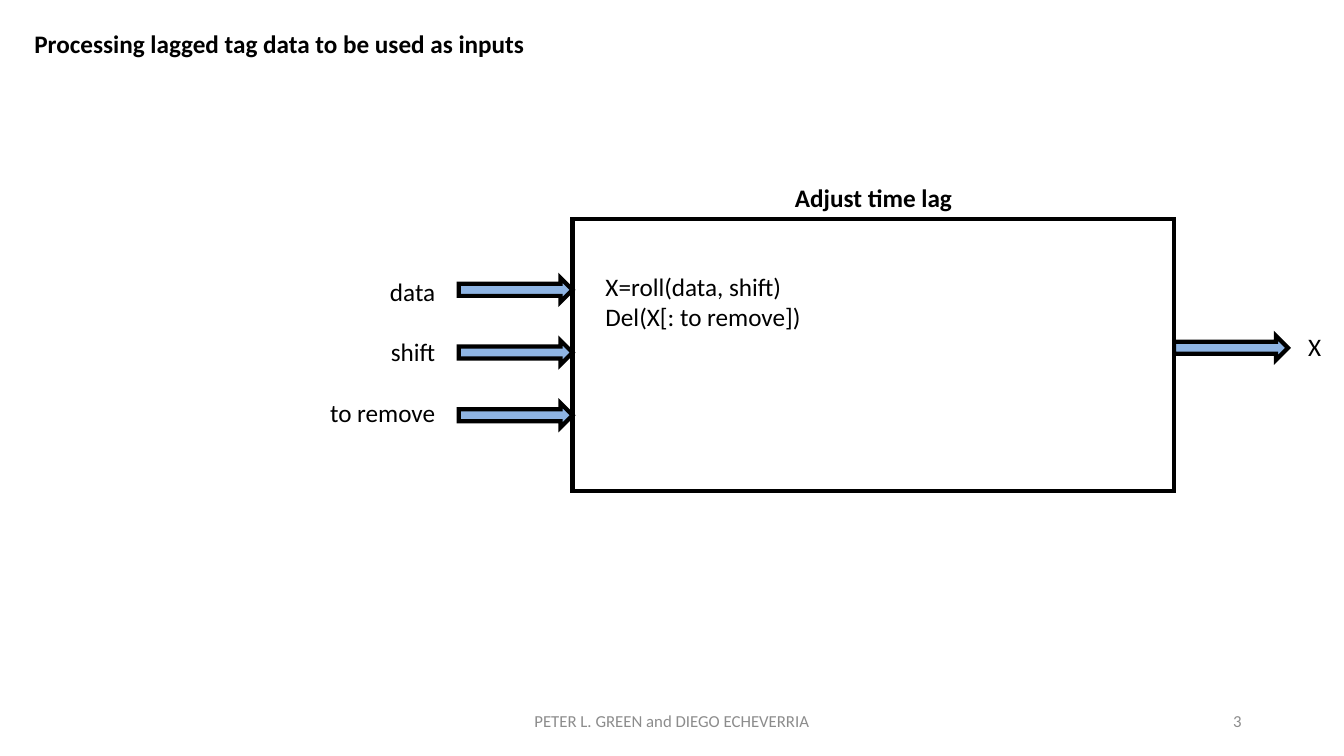
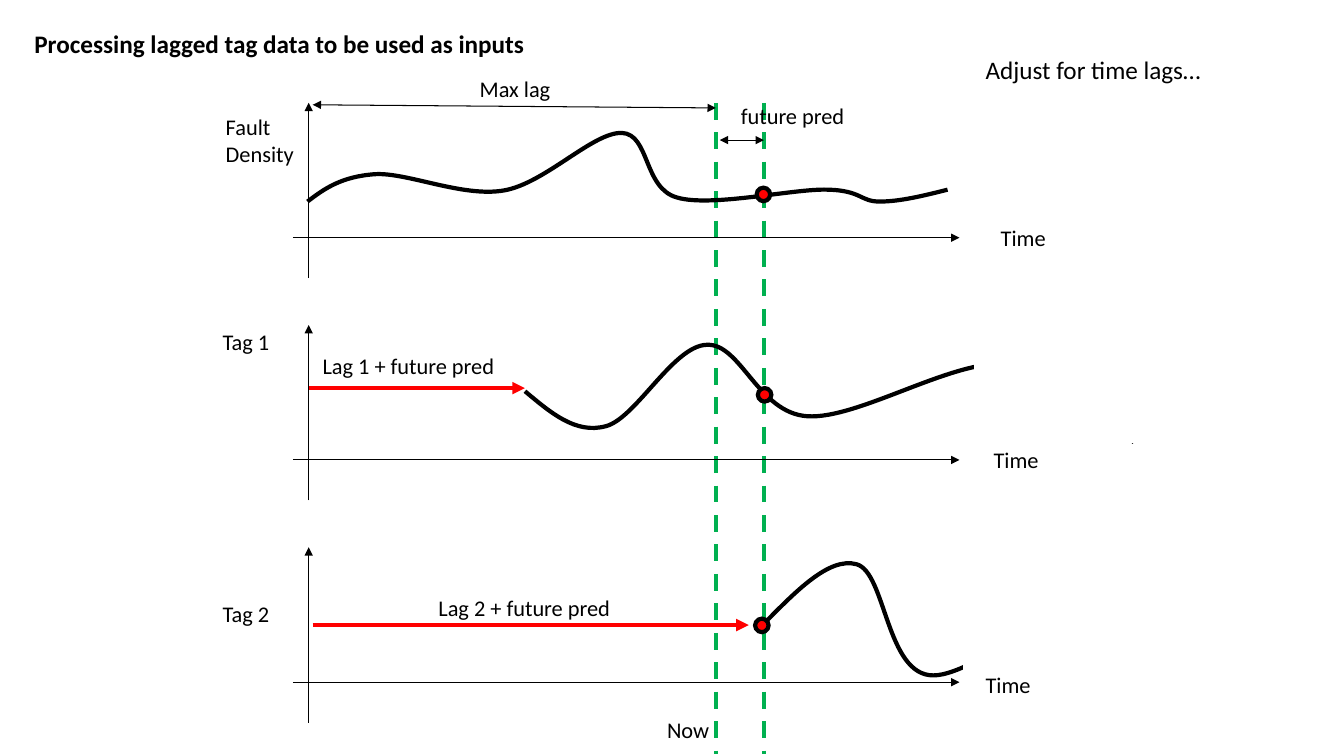
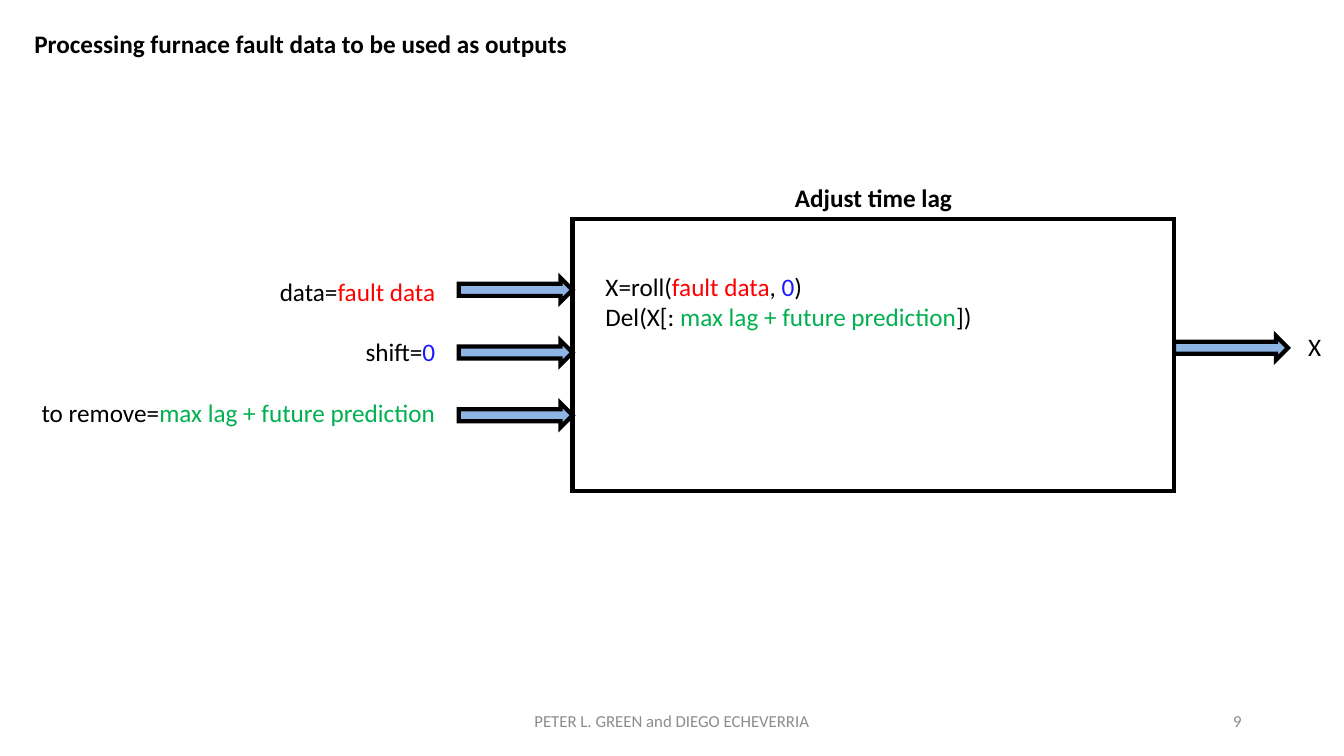
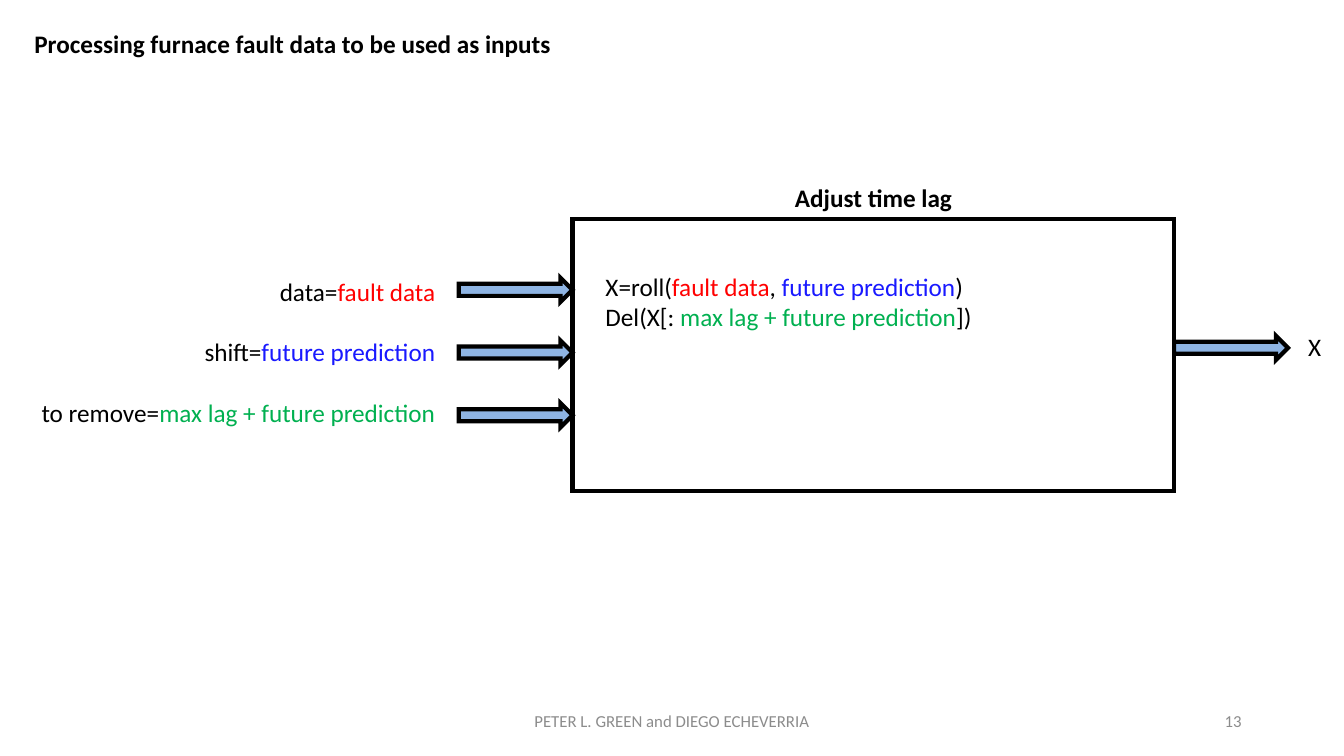
"""Build four slides that explain how lagged data is shifted and trimmed."""

from dataclasses import dataclass
from typing import NamedTuple

import pptx
import pptx.dml.color
import pptx.enum.dml
import pptx.enum.shapes
import pptx.enum.text
import pptx.oxml.ns
import pptx.slide
import pptx.util
from lxml import etree

Cm = pptx.util.Cm
Pt = pptx.util.Pt
RGB = pptx.dml.color.RGBColor
qn = pptx.oxml.ns.qn
SHAPE = pptx.enum.shapes.MSO_SHAPE
ALIGN = pptx.enum.text.PP_ALIGN
ANCHOR = pptx.enum.text.MSO_ANCHOR

FONT = "Calibri"
BLACK = RGB(0x00, 0x00, 0x00)
WHITE = RGB(0xFF, 0xFF, 0xFF)
GREY = RGB(0x8C, 0x8C, 0x8C)
RED = RGB(0xFF, 0x00, 0x00)
GREEN = RGB(0x00, 0xB0, 0x50)
BLUE = RGB(0x19, 0x19, 0xFF)
LIGHT_BLUE = RGB(0x8E, 0xB4, 0xE3)

THICK = 3
THIN = 0.75
AUTHORS = "PETER L. GREEN and DIEGO ECHEVERRIA"
LAGGED_TITLE = "Processing lagged tag data to be used as inputs"

AXIS_X = 7.78
AXIS_Y = 5.99
ROW_PITCH = 5.6
NOW_X = 18.04
FUTURE_X = 19.25
DOT_SIZE = 0.34


class Box(NamedTuple):
    left: float
    top: float
    width: float
    height: float


class Point(NamedTuple):
    x: float
    y: float


class Span(NamedTuple):
    text: str
    color: RGB = BLACK


class Style(NamedTuple):
    size: float = 18
    bold: bool = False
    align: ALIGN = ALIGN.LEFT
    anchor: ANCHOR = ANCHOR.TOP
    wrap: bool = True
    space_before: float = 0


Lines = list[list[Span]]
LABEL = Style(size=16, wrap=False)
FUNCTION_BOX = Box(14.43, 5.51, 15.16, 6.86)


@dataclass
class LagFunction:
    title: str
    number: str
    inputs: Lines
    code: Lines


@dataclass
class Segment:
    start: Point
    end: Point
    color: RGB = BLACK
    width: float = THIN
    head: bool = False
    tail: bool = True
    dashed: bool = False


@dataclass
class Curve:
    points: list[tuple[float, float]]
    dot: Point
    mask: Box


@dataclass
class Label:
    text: str
    box: Box


def bound_inputs(shift: str) -> Lines:
    return [
        [Span("data="), Span("fault data", RED)],
        [Span("shift="), Span(shift, BLUE)],
        [Span("to remove="), Span("max lag + future prediction", GREEN)],
    ]


def bound_code(shift: str) -> Lines:
    return [
        [Span("X=roll("), Span("fault data", RED), Span(", "), Span(shift, BLUE), Span(")")],
        [Span("Del(X[: "), Span("max lag + future prediction", GREEN), Span("])")],
    ]


TAG_FUNCTION = LagFunction(
    LAGGED_TITLE,
    "3",
    [[Span("data")], [Span("shift")], [Span("to remove")]],
    [[Span("X=roll(data, shift)")], [Span("Del(X[: to remove])")]],
)
FAULT_FUNCTIONS = [
    LagFunction(
        f"Processing furnace fault data to be used as {role}",
        number,
        bound_inputs(shift),
        bound_code(shift),
    )
    for role, number, shift in [("outputs", "9", "0"), ("inputs", "13", "future prediction")]
]

FAULT_CURVE = Curve(
    [
        (7.75, 5.08), (8.18, 4.75), (8.61, 4.45), (9.45, 4.39),
        (10.26, 4.34), (11.66, 4.98), (12.7, 4.8),
        (13.74, 4.62), (14.94, 3.33), (15.67, 3.35),
        (16.38, 3.38), (16.21, 4.75), (17.07, 4.98),
        (17.93, 5.23), (20.02, 4.75), (20.85, 4.78),
        (21.72, 4.8), (21.67, 5.08), (22.17, 5.08),
        (22.68, 5.08), (23.29, 4.93), (23.88, 4.78),
    ],
    Point(19.24, 4.9),
    Box(6.27, 4.32, 1.4, 1.09),
)
TAG_1_CURVE = Curve(
    [
        (13.23, 9.86), (13.87, 10.39), (14.5, 10.95), (15.27, 10.74),
        (16.03, 10.54), (16.97, 8.71), (17.81, 8.69),
        (18.67, 8.64), (19.1, 10.41), (20.35, 10.49),
        (21.62, 10.57), (23.98, 9.07), (25.35, 9.17),
        (26.72, 9.3), (27.66, 10.21), (28.58, 11.15),
    ],
    Point(19.27, 9.95),
    Box(24.59, 8.28, 5.26, 2.84),
)
TAG_2_CURVE = Curve(
    [
        (19.15, 15.82), (20.02, 14.94), (20.88, 14.02), (21.59, 14.22),
        (22.33, 14.43), (22.33, 17.02), (23.52, 17.02),
        (24.71, 17.02), (27.71, 14.4), (28.75, 14.2),
        (29.79, 14), (28.93, 15.54), (29.74, 15.72),
        (30.53, 15.93), (32.05, 15.65), (33.55, 15.34),
    ],
    Point(19.2, 15.76),
    Box(24.33, 14.1, 9.37, 2.84),
)
CURVES = [TAG_1_CURVE, TAG_2_CURVE, FAULT_CURVE]

SPANS = [
    Segment(Point(AXIS_X, 9.78), Point(13.23, 9.78), RED, THICK),
    Segment(Point(7.88, 15.75), Point(18.87, 15.75), RED, THICK),
    Segment(Point(NOW_X, 2.72), Point(7.88, 2.64), head=True),
    Segment(Point(FUTURE_X, 3.53), Point(18.14, 3.53), head=True),
]

LABELS = [
    Label("Time", Box(24.97, 5.52, 1.65, 0.94)),
    Label("Time", Box(24.79, 11.13, 1.65, 0.94)),
    Label("Time", Box(24.59, 16.79, 1.65, 0.94)),
    Label("Fault\nDensity", Box(5.44, 2.72, 2.26, 1.63)),
    Label("Tag 1", Box(5.36, 8.15, 1.7, 0.94)),
    Label("Tag 2", Box(5.36, 14.99, 1.7, 0.94)),
    Label("Now", Box(16.56, 17.93, 1.6, 0.94)),
    Label("Max lag", Box(11.84, 1.78, 2.31, 0.94)),
    Label("future pred", Box(18.42, 2.46, 3.15, 0.94)),
    Label("Lag 1 + future pred", Box(7.88, 8.74, 4.9, 0.94)),
    Label("Lag 2 + future pred", Box(10.8, 14.85, 4.9, 0.94)),
]


def emu(box: Box) -> list[pptx.util.Length]:
    return [Cm(v) for v in box]


def plain(text: str, color: RGB = BLACK) -> Lines:
    return [[Span(line, color)] for line in text.split("\n")]


def fill_text(tf, lines: Lines, style: Style) -> None:
    tf.word_wrap = style.wrap
    tf.vertical_anchor = style.anchor
    tf.auto_size = pptx.enum.text.MSO_AUTO_SIZE.NONE
    for i, spans in enumerate(lines):
        p = tf.add_paragraph() if i else tf.paragraphs[0]
        p.alignment = style.align
        if i:
            p.space_before = Pt(style.space_before)
        for span in spans:
            r = p.add_run()
            r.text = span.text
            r.font.name = FONT
            r.font.size = Pt(style.size)
            r.font.bold = style.bold
            r.font.color.rgb = span.color


def add_text(s: pptx.slide.Slide, box: Box, lines: Lines, style: Style = Style()) -> None:
    fill_text(s.shapes.add_textbox(*emu(box)).text_frame, lines, style)


def add_outlined(
    s: pptx.slide.Slide, kind: SHAPE, box: Box, fill: RGB, line: RGB = BLACK
) -> None:
    sp = s.shapes.add_shape(kind, *emu(box))
    sp.shadow.inherit = False
    sp.fill.solid()
    sp.fill.fore_color.rgb = fill
    sp.line.color.rgb = line
    sp.line.width = Pt(THICK)
    ln = sp._element.spPr.find(qn("a:ln"))
    etree.SubElement(ln, qn("a:miter")).set("lim", "800000")


def add_segment(s: pptx.slide.Slide, seg: Segment) -> None:
    c = s.shapes.add_connector(
        pptx.enum.shapes.MSO_CONNECTOR.STRAIGHT,
        *(Cm(v) for v in (*seg.start, *seg.end)),
    )
    c.line.color.rgb = seg.color
    c.line.width = Pt(seg.width)
    if seg.dashed:
        c.line.dash_style = pptx.enum.dml.MSO_LINE.DASH
    spPr = c._element.spPr
    ln = spPr.find(qn("a:ln"))
    for tag, shown in (("a:headEnd", seg.head), ("a:tailEnd", seg.tail)):
        if shown:
            etree.SubElement(ln, qn(tag)).set("type", "triangle")
    etree.SubElement(spPr, qn("a:effectLst"))


def add_curve(s: pptx.slide.Slide, curve: Curve) -> None:
    first, *rest = [(Cm(x), Cm(y)) for x, y in curve.points]
    builder = s.shapes.build_freeform(*first)
    builder.add_line_segments(rest, close=False)
    sp = builder.convert_to_shape()
    sp.shadow.inherit = False
    sp.fill.background()
    sp.line.color.rgb = BLACK
    sp.line.width = Pt(THICK)
    outline = next(sp._element.iter(qn("a:path")))
    steps = outline.findall(qn("a:lnTo"))
    for i in range(0, len(steps), 3):
        bend = etree.SubElement(outline, qn("a:cubicBezTo"))
        for step in steps[i : i + 3]:
            bend.append(step[0])
            outline.remove(step)


def add_slide(prs, title: str) -> pptx.slide.Slide:
    s = prs.slides.add_slide(prs.slide_layouts[5])
    sp = s.shapes.title
    sp.left, sp.top, sp.width, sp.height = emu(Box(0.61, 0.58, 16.61, 1.02))
    fill_text(sp.text_frame, plain(title), Style(bold=True))
    return s


def add_footer(s: pptx.slide.Slide, number: str) -> None:
    for text, left, width, align in (
        (AUTHORS, 11.22, 11.43, ALIGN.CENTER),
        (number, 23.92, 7.62, ALIGN.RIGHT),
    ):
        style = Style(size=12, align=align, anchor=ANCHOR.MIDDLE)
        add_text(s, Box(left, 17.66, width, 1.01), plain(text, GREY), style)


def build_function_slide(prs, func: LagFunction) -> None:
    s = add_slide(prs, func.title)
    add_outlined(s, SHAPE.RECTANGLE, FUNCTION_BOX, WHITE)
    add_footer(s, func.number)
    inputs = Style(align=ALIGN.RIGHT, space_before=21.75)
    add_text(s, Box(0.34, 6.83, 10.88, 4.88), func.inputs, inputs)
    arrows = [Point(11.56, 7 + 1.58 * i) for i in range(len(func.inputs))]
    arrows.append(Point(FUNCTION_BOX.left + FUNCTION_BOX.width, 8.46))
    for at in arrows:
        add_outlined(s, SHAPE.RIGHT_ARROW, Box(at.x, at.y, 2.87, 0.61), LIGHT_BLUE)
    add_text(s, Box(15.01, 6.71, 14.33, 1.8), func.code)
    add_text(s, Box(32.72, 8.23, 1.15, 1.02), plain("X"))
    heading = Style(bold=True, align=ALIGN.CENTER)
    add_text(s, Box(17.99, 4.47, 8.05, 1.02), plain("Adjust time lag"), heading)


def build_timeline_slide(prs) -> None:
    s = add_slide(prs, LAGGED_TITLE)
    for x in (NOW_X, FUTURE_X):
        add_segment(s, Segment(Point(x, 2.59), Point(x, 19), GREEN, THICK, tail=False, dashed=True))
    for row in range(len(CURVES)):
        y = AXIS_Y + row * ROW_PITCH
        add_segment(s, Segment(Point(7.38, y), Point(24.18, y)))
        add_segment(s, Segment(Point(AXIS_X, y + 1.02), Point(AXIS_X, y - 3.4)))
    for curve in CURVES:
        add_curve(s, curve)
        corner = (v - DOT_SIZE / 2 for v in curve.dot)
        add_outlined(s, SHAPE.OVAL, Box(*corner, DOT_SIZE, DOT_SIZE), RED)
        add_outlined(s, SHAPE.RECTANGLE, curve.mask, WHITE, WHITE)
    for seg in SPANS:
        add_segment(s, seg)
    for label in LABELS:
        add_text(s, label.box, plain(label.text), LABEL)
    add_text(s, Box(24.59, 1.24, 6.99, 1.02), plain("Adjust for time lags…"))


def main() -> None:
    prs = pptx.Presentation()
    prs.slide_width, prs.slide_height = Cm(33.87), Cm(19.05)
    build_function_slide(prs, TAG_FUNCTION)
    build_timeline_slide(prs)
    for func in FAULT_FUNCTIONS:
        build_function_slide(prs, func)
    prs.save("out.pptx")


if __name__ == "__main__":
    main()
